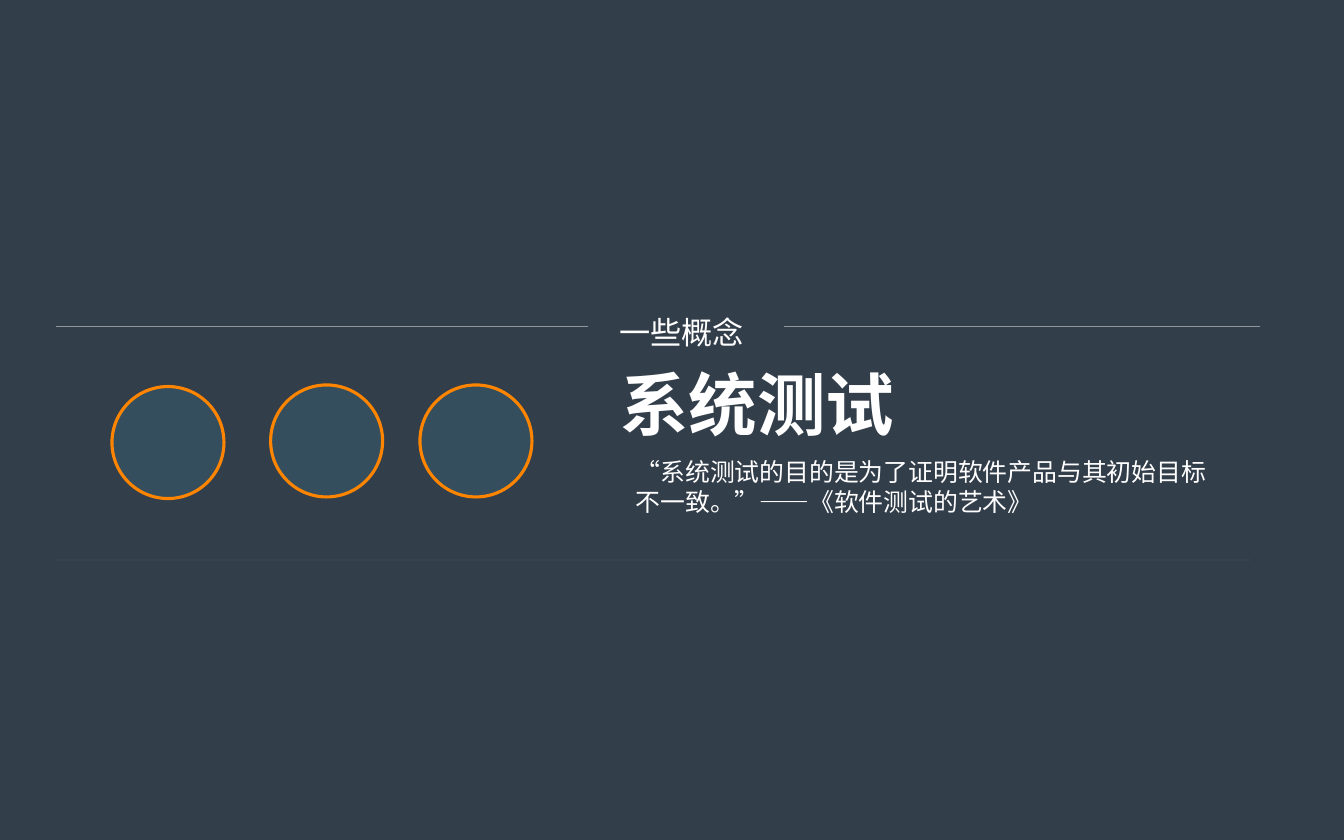
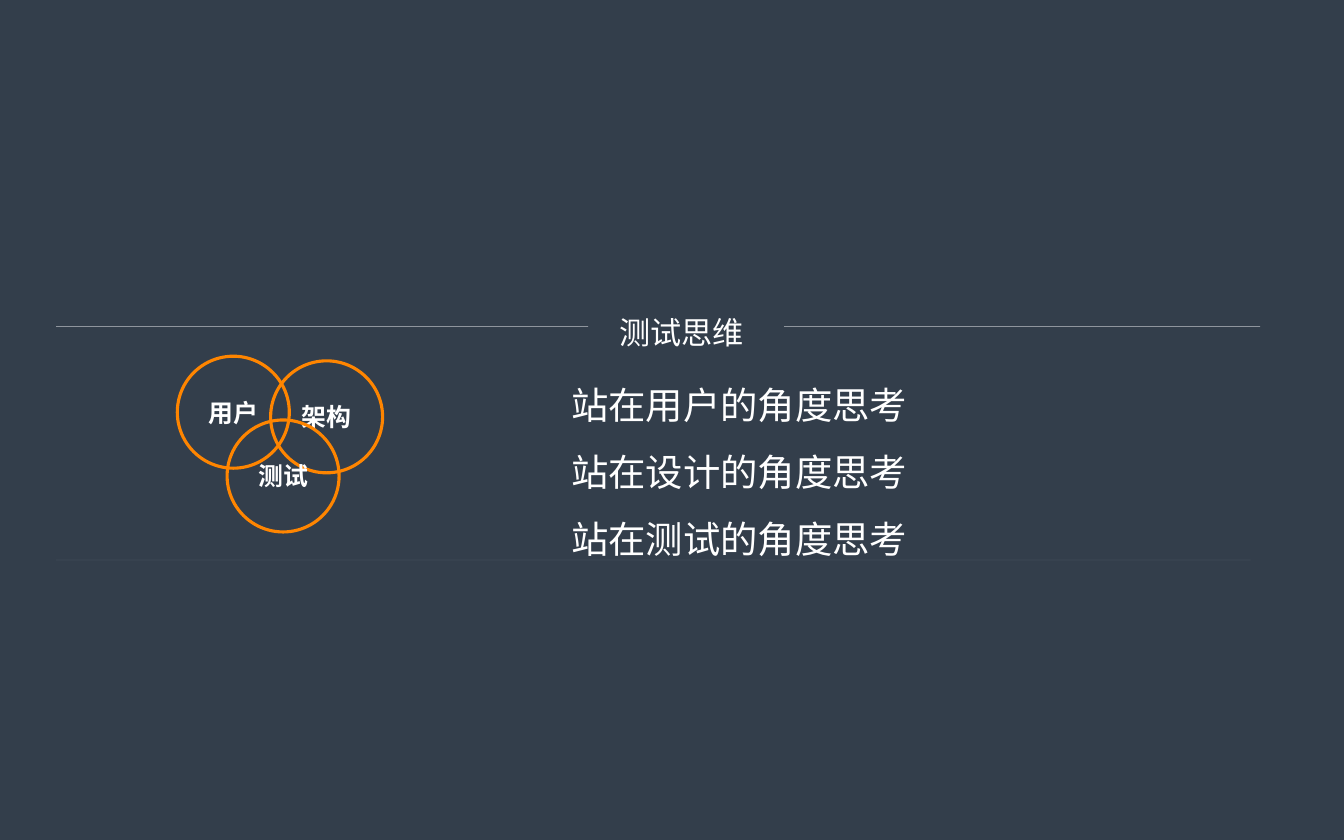
from dataclasses import dataclass
from lxml import etree
from pptx import Presentation
from pptx.dml.color import RGBColor
from pptx.enum.lang import MSO_LANGUAGE_ID
from pptx.enum.shapes import MSO_CONNECTOR, MSO_SHAPE
from pptx.enum.text import MSO_ANCHOR, MSO_AUTO_SIZE, PP_ALIGN
from pptx.oxml.ns import qn
from pptx.util import Pt

OVAL = MSO_SHAPE.OVAL
LINE = MSO_CONNECTOR.STRAIGHT
LEFT, CENTER = PP_ALIGN.LEFT, PP_ALIGN.CENTER
TOP, MIDDLE = MSO_ANCHOR.TOP, MSO_ANCHOR.MIDDLE
NONE = MSO_AUTO_SIZE.NONE
CHINESE = MSO_LANGUAGE_ID.SIMPLIFIED_CHINESE


@dataclass(frozen=True)
class Theme:
    back: RGBColor = RGBColor(0x33, 0x3E, 0x4B)
    ink: RGBColor = RGBColor(0xFF, 0xFF, 0xFF)
    ring: RGBColor = RGBColor(0xFF, 0x85, 0x00)
    disc: RGBColor = RGBColor(0x34, 0x4E, 0x5E)
    label: tuple = ("Arial", 20, False)
    head: tuple = ("Calibri", 44, True)
    quote: tuple = ("Calibri", 16, False)
    list: tuple = ("Calibri", 24, False)
    tag: tuple = ("Arial Narrow", 16, True)


theme = Theme()


def write(shape, text, style, box=None, align=LEFT, space=1.0):
    frame = shape.text_frame
    if box:
        shape.left, shape.top, shape.width, shape.height = [Pt(n) for n in box]
    frame.text = text
    frame.word_wrap = True
    frame.auto_size = NONE
    frame.vertical_anchor = TOP if box else MIDDLE
    face, size, bold = style
    for para in frame.paragraphs:
        para.alignment = align
        para.line_spacing = space
        para.space_before = Pt(0)
        props = para._p.get_or_add_pPr()
        props.set("marL", "0")
        props.set("indent", "0")
        etree.SubElement(props, qn("a:buNone"))
        for run in para.runs:
            font = run.font
            font.name, font.size, font.bold = face, Pt(size), bold
            font.color.rgb = theme.ink
            font.language_id = CHINESE


def circle(slide, left, top, fill=None):
    oval = slide.shapes.add_shape(OVAL, Pt(left), Pt(top), Pt(72), Pt(72))
    oval.shadow.inherit = False
    oval.line.color.rgb = theme.ring
    oval.line.width = Pt(2)
    if fill:
        oval.fill.solid()
        oval.fill.fore_color.rgb = fill
    else:
        oval.fill.background()
    return oval


deck = Presentation()
deck.slide_width, deck.slide_height = Pt(864), Pt(540)
back = deck.slide_master.background.fill
back.solid()
back.fore_color.rgb = theme.back

label_box = (391, 198, 106, 31.5)
rules = [(36, 804, 360, 20), (36, 378, 210, 70), (504, 810, 210, 70)]
layout = deck.slide_layouts[1]
intro, views = [deck.slides.add_slide(layout) for _ in range(2)]

for slide in (intro, views):
    for start, end, y, alpha in rules:
        rule = slide.shapes.add_connector(LINE, Pt(start), Pt(y), Pt(end), Pt(y))
        rule.line.color.rgb = theme.ink
        rule.line.width = Pt(0.25)
        props = rule._element.spPr
        color = props.find(".//" + qn("a:srgbClr"))
        etree.SubElement(color, qn("a:alpha"), val=str(alpha * 1000))
        etree.SubElement(props, qn("a:effectLst"))

label = intro.shapes.add_textbox(0, 0, 0, 0)
write(label, "一些概念", theme.label, label_box)
write(intro.shapes.title, "系统测试", theme.head, (391.5, 229, 210, 60.5))
write(intro.placeholders[1],
      "“系统测试的目的是为了证明软件产品与其初始目标不一致。”——《软件测试的艺术》",
      theme.quote, (401.5, 290, 396, 46))
for left, top in [(174, 247.5), (270, 247.5), (72, 248.5)]:
    circle(intro, left, top, theme.disc)

write(views.shapes.title, "测试思维", theme.label, label_box)
angles = ["用户", "设计", "测试"]
write(views.placeholders[1], "\n".join(f"站在{angle}的角度思考" for angle in angles),
      theme.list, (360, 227.5, 396, 137), space=1.5)
for tag, left, top in [("架构", 174, 232), ("测试", 146, 270), ("用户", 114, 229)]:
    write(circle(views, left, top), tag, theme.tag, align=CENTER)

deck.save("out.pptx")
